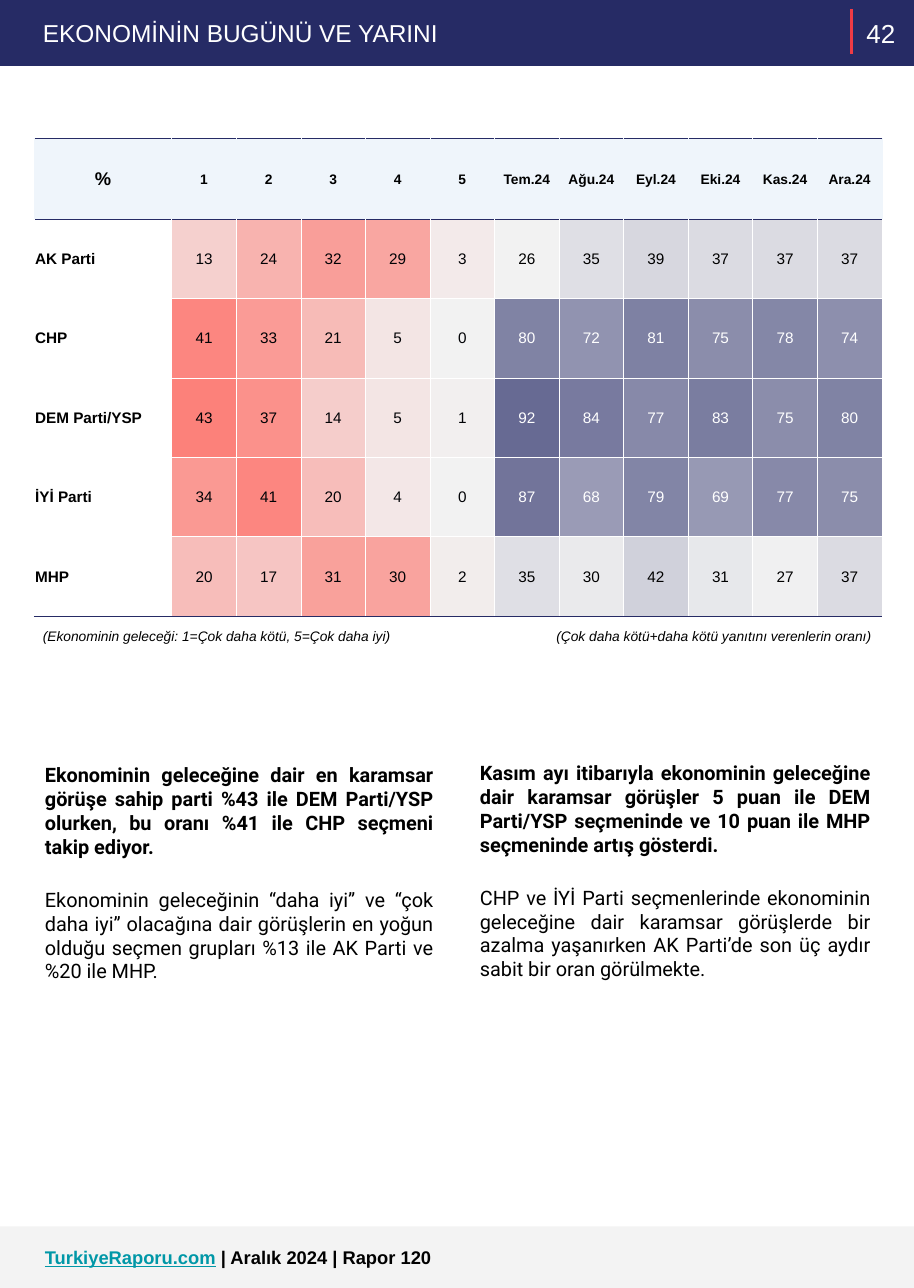
from pptx import Presentation
from pptx.dml.color import RGBColor
from pptx.enum.shapes import MSO_CONNECTOR, MSO_SHAPE
from pptx.enum.text import MSO_ANCHOR, MSO_AUTO_SIZE, PP_ALIGN
from pptx.oxml.ns import qn
from pptx.util import Pt
from lxml import etree

PX = 9144  # 100 px to the inch
LEFT, CENTER, RIGHT, JUSTIFY = PP_ALIGN.LEFT, PP_ALIGN.CENTER, PP_ALIGN.RIGHT, PP_ALIGN.JUSTIFY
TOP, MIDDLE = MSO_ANCHOR.TOP, MSO_ANCHOR.MIDDLE
TITLE_ONLY = 5

COLORS = {
    "navy": "262B65", "red": "EF3B45", "teal": "0097A7", "white": "FFFFFF",
    "black": "000000", "ink": "010205", "header": "EFF5FB", "footer": "F3F3F3",
    "heat_low": "F2F2F2", "answer_high": "FC817A", "month_high": "676A93",
}

ANSWERS = ["1", "2", "3", "4", "5"]
MONTHS = ["Tem.24", "Ağu.24", "Eyl.24", "Eki.24", "Kas.24", "Ara.24"]
PARTIES = {
    "AK Parti": [13, 24, 32, 29, 3, 26, 35, 39, 37, 37, 37],
    "CHP": [41, 33, 21, 5, 0, 80, 72, 81, 75, 78, 74],
    "DEM Parti/YSP": [43, 37, 14, 5, 1, 92, 84, 77, 83, 75, 80],
    "İYİ Parti": [34, 41, 20, 4, 0, 87, 68, 79, 69, 77, 75],
    "MHP": [20, 17, 31, 30, 2, 35, 30, 42, 31, 27, 37],
}
COMMENTS = [
    ((31, 683, 372, 271),
     "Ekonominin geleceğine dair en karamsar görüşe sahip parti %43 ile DEM Parti/YSP "
     "olurken, bu oranı %41 ile CHP seçmeni takip ediyor.",
     "Ekonominin geleceğinin “daha iyi” ve “çok daha iyi” olacağına dair görüşlerin en yoğun "
     "olduğu seçmen grupları %13 ile AK Parti ve %20 ile MHP."),
    ((426, 681, 374, 271),
     "Kasım ayı itibarıyla ekonominin geleceğine dair karamsar görüşler 5 puan ile DEM "
     "Parti/YSP seçmeninde ve 10 puan ile MHP seçmeninde artış gösterdi.",
     "CHP ve İYİ Parti seçmenlerinde ekonominin geleceğine dair karamsar görüşlerde bir azalma "
     "yaşanırken AK Parti’de son üç aydır sabit bir oran görülmekte."),
]


def blend(low, high, share):
    """Mix two hex colours; share 0 gives low and 1 gives high."""
    pairs = zip(bytes.fromhex(low), bytes.fromhex(high))
    return "".join(f"{round(a + (b - a) * share):02X}" for a, b in pairs)


def heat(values):
    """Return (fill, text colour) for each value in a party's row."""
    styles = []
    for index, value in enumerate(values):
        if index < len(ANSWERS):
            share, high, text = value / 43, COLORS["answer_high"], COLORS["ink"]
        else:
            share, high = (value - 26) / (92 - 26), COLORS["month_high"]
            text = COLORS["white" if share > 0.5 else "black"]
        styles.append((blend(COLORS["heat_low"], high, share), text))
    return styles


class ReportPage:
    def __init__(self, deck):
        self.page = deck.slides.add_slide(deck.slide_layouts[TITLE_ONLY])
        self.shapes = self.page.shapes

    def style(self, para, size, color="000000", font="Arial", bold=False, italic=False, align=LEFT):
        para.alignment = align
        para.font.name = font
        para.font.size = Pt(size)
        para.font.bold = bold
        para.font.italic = italic
        para.font.color.rgb = RGBColor.from_string(color)

    def frame(self, box, anchor):
        frame = box.text_frame
        frame.word_wrap = True
        frame.auto_size = MSO_AUTO_SIZE.NONE
        frame.vertical_anchor = anchor
        frame.margin_left = frame.margin_right = frame.margin_top = frame.margin_bottom = 10 * PX
        return frame

    def band(self, top, height, color):
        band = self.shapes.add_shape(MSO_SHAPE.RECTANGLE, 0, top * PX, 830 * PX, height * PX)
        band.shadow.inherit = False
        band.fill.solid()
        band.fill.fore_color.rgb = RGBColor.from_string(color)
        band.line.fill.background()

    def line(self, x, top, bottom, color, width):
        line = self.shapes.add_connector(
            MSO_CONNECTOR.STRAIGHT, x * PX, top * PX, x * PX, bottom * PX)
        line.line.color.rgb = RGBColor.from_string(color)
        line.line.width = Pt(width)
        etree.SubElement(line.element.spPr, qn("a:effectLst"))

    def title(self, place, text, size, color):
        title = self.shapes.title
        title.left, title.top, title.width, title.height = (n * PX for n in place)
        title.element.getparent().append(title.element)  # in front of the band
        para = self.frame(title, TOP).paragraphs[0]
        para.text = text
        self.style(para, size, color)

    def text(self, place, text, size, anchor=TOP, **style):
        box = self.shapes.add_textbox(*(n * PX for n in place))
        frame = self.frame(box, anchor)
        frame.text = text
        self.style(frame.paragraphs[0], size, **style)
        return frame

    def comment(self, place, lead, detail):
        frame = self.text(place, lead, 13, font="Roboto", bold=True, align=JUSTIFY)
        para = frame.add_paragraph()
        para.text = detail
        para.space_before = Pt(19)
        self.style(para, 13, font="Roboto", align=JUSTIFY)

    def cell(self, cell, text, fill, borders, size, **style):
        """Fill one table cell; borders holds left, right, top and bottom colours."""
        cell.margin_left = cell.margin_right = cell.margin_top = PX
        cell.margin_bottom = 0
        cell.vertical_anchor = MIDDLE
        cell.text = text
        self.style(cell.text_frame.paragraphs[0], size, **style)
        properties = cell._tc.get_or_add_tcPr()
        for side, color in zip("LRTB", borders):
            edge = etree.SubElement(properties, qn(f"a:ln{side}"), w=str(Pt(0.5)))
            solid = etree.SubElement(edge, qn("a:solidFill"))
            etree.SubElement(solid, qn("a:srgbClr"), val=color)
        cell.fill.solid()
        cell.fill.fore_color.rgb = RGBColor.from_string(fill)

    def heat_table(self, left, top, width, height, label_width, header_height):
        headings = ANSWERS + MONTHS
        table = self.shapes.add_table(
            len(PARTIES) + 1, len(headings) + 1,
            left * PX, top * PX, width * PX, height * PX).table
        table.first_row = table.horz_banding = False
        for index, column in enumerate(table.columns):
            column.width = (width - label_width) * PX // len(headings) if index else label_width * PX
        for index, row in enumerate(table.rows):
            row.height = (height - header_height) * PX // len(PARTIES) if index else header_height * PX

        navy, white, pale = COLORS["navy"], COLORS["white"], COLORS["header"]
        for column, heading in enumerate(["%"] + headings):
            self.cell(table.cell(0, column), heading, pale, (pale, pale, navy, navy),
                      9 if column else 12, bold=True, align=CENTER)
        for row, (party, values) in enumerate(PARTIES.items(), 1):
            borders = (white, white, navy if row == 1 else white,
                       navy if row == len(PARTIES) else white)
            self.cell(table.cell(row, 0), party, white, borders, 10, bold=True)
            for column, (value, (fill, color)) in enumerate(zip(values, heat(values)), 1):
                self.cell(table.cell(row, column), str(value), fill, borders, 10,
                          color=color, align=CENTER)

    def footer(self, place, site, issue):
        para = self.text(place, site, 12, bold=True).paragraphs[0]
        link = para.runs[0]
        link.font.underline = True
        link.font.color.rgb = RGBColor.from_string(COLORS["teal"])
        para.add_run().text = issue


def main():
    deck = Presentation()
    deck.slide_width, deck.slide_height = 830 * PX, 1170 * PX
    report = ReportPage(deck)
    report.band(1114, 56, COLORS["footer"])
    report.footer((31, 1122, 696, 40), "TurkiyeRaporu.com", " | Aralık 2024 | Rapor 120")
    report.band(0, 60, COLORS["navy"])
    report.line(773, 8, 49, COLORS["red"], 2.25)
    report.title((29, 6, 645, 47), "EKONOMİNİN BUGÜNÜ VE YARINI", 16, COLORS["white"])
    report.text((773, 0, 54, 60), "42", 17, MIDDLE, color=COLORS["white"], align=CENTER)
    report.heat_table(31, 126, 770, 434, label_width=125, header_height=73)
    report.text((29, 560, 461, 35), "(Ekonominin geleceği: 1=Çok daha kötü, 5=Çok daha iyi)",
                9, italic=True)
    report.text((340, 560, 461, 35), "(Çok daha kötü+daha kötü yanıtını verenlerin oranı)",
                9, italic=True, align=RIGHT)
    for place, lead, detail in COMMENTS:
        report.comment(place, lead, detail)
    deck.save("out.pptx")


if __name__ == "__main__":
    main()
